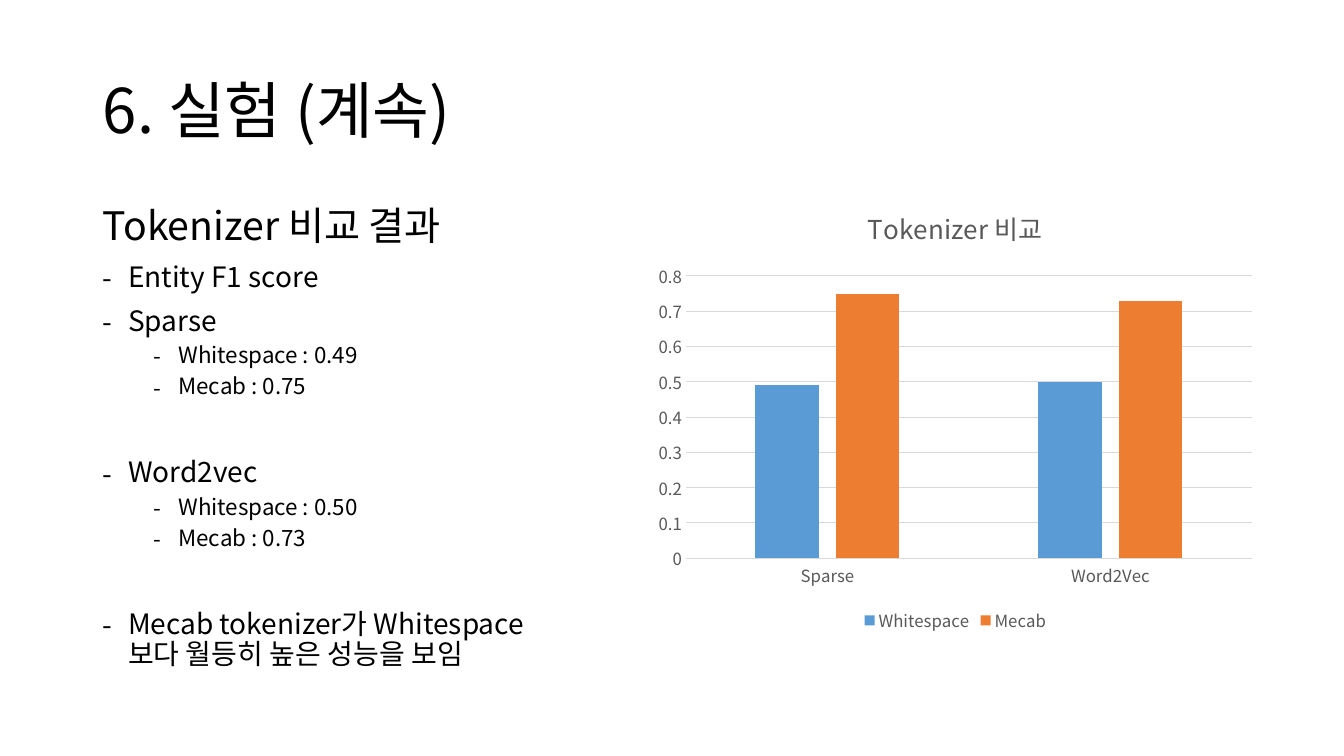
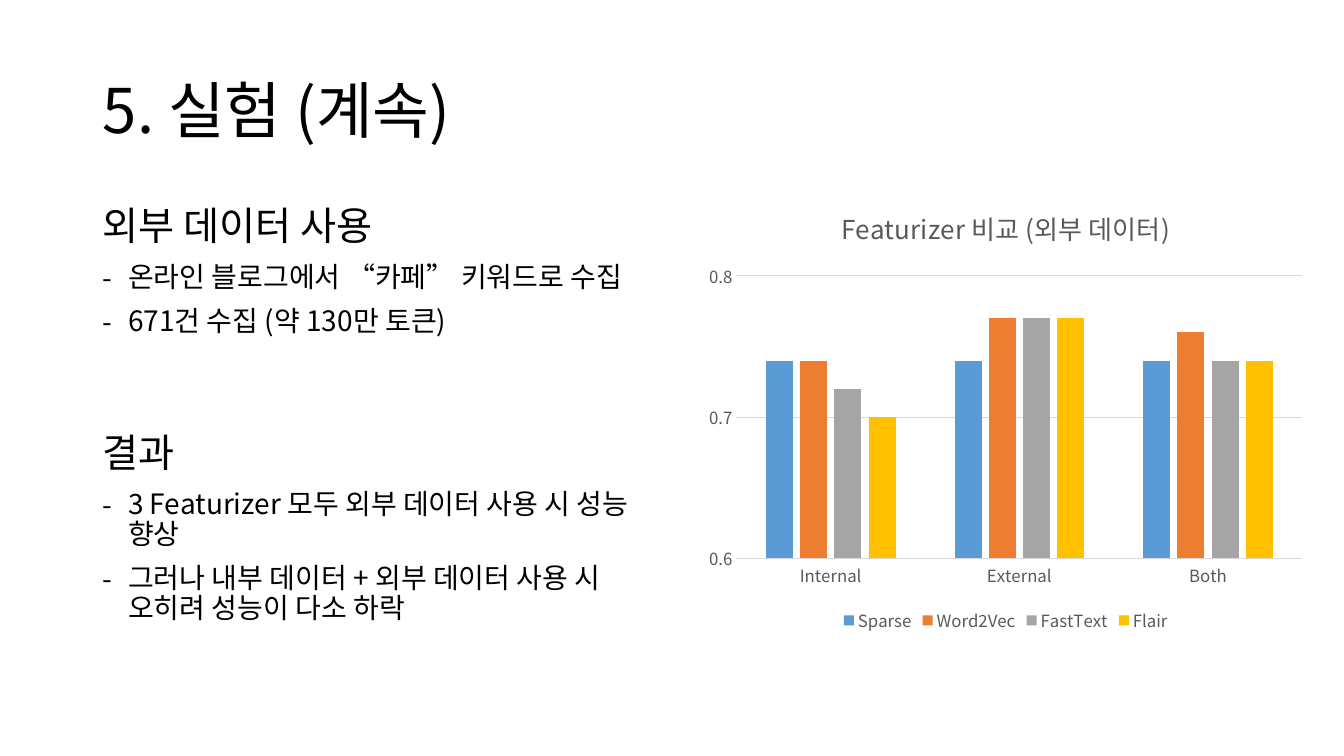
import pptx
import pptx.util
import pptx.chart.data
import pptx.dml.color
import pptx.enum.chart
import pptx.enum.text
import pptx.oxml.ns
from lxml import etree

Inches, Pt = pptx.util.Inches, pptx.util.Pt
qn = pptx.oxml.ns.qn

FONT = "Noto Sans CJK KR"
COLORS = {"text": "000000", "chart_text": "595959", "grid": "D9D9D9"}
SERIES_COLORS = ["5B9BD5", "ED7D31", "A5A5A5", "FFC000"]
# Paragraph level: size, space before, left margin, bullet
LEVELS = {
    "heading": (28, 10, 0, None),
    "item": (20, 10, 0.25, "-"),
    "section": (20, 42, 0.25, "-"),  # an item set apart from those above
    "detail": (16, 5, 0.75, "-"),
}
LEFT = 0.92

SLIDES = [
    {
        "title": "6. 실험 (계속)",
        "layout": 1,
        "lists": [
            ((LEFT, 2, 4.87, 4.85), [
                ("heading", "Tokenizer 비교 결과"),
                ("item", "Entity F1 score"),
                ("item", "Sparse"),
                ("detail", "Whitespace : 0.49"),
                ("detail", "Mecab : 0.75"),
                ("section", "Word2vec"),
                ("detail", "Whitespace : 0.50"),
                ("detail", "Mecab : 0.73"),
                ("section", "Mecab tokenizer가 Whitespace 보다 월등히 높은 성능을 보임"),
            ]),
        ],
        "chart_title": "Tokenizer 비교",
        "chart_left": 6.41,
        "minimum": 0,
        "categories": ["Sparse", "Word2Vec"],
        "series": {"Whitespace": [0.49, 0.5], "Mecab": [0.75, 0.73]},
    },
    {
        "title": "5. 실험 (계속)",
        "layout": 3,
        "lists": [
            ((LEFT, 2, 5.51, 1.55), [
                ("heading", "외부 데이터 사용"),
                ("item", "온라인 블로그에서 “카페” 키워드로 수집"),
                ("item", "671건 수집 (약 130만 토큰)"),
            ]),
            ((LEFT, 4.25, 5.51, 2.85), [
                ("heading", "결과"),
                ("item", "3 Featurizer 모두 외부 데이터 사용 시 성능 향상"),
                ("item", "그러나 내부 데이터 + 외부 데이터 사용 시 오히려 성능이 다소 하락"),
            ]),
        ],
        "chart_title": "Featurizer 비교 (외부 데이터)",
        "chart_left": 6.91,
        "minimum": 0.6,
        "categories": ["Internal", "External", "Both"],
        "series": {
            "Sparse": [0.74, 0.74, 0.74],
            "Word2Vec": [0.74, 0.77, 0.76],
            "FastText": [0.72, 0.77, 0.74],
            "Flair": [0.7, 0.77, 0.74],
        },
    },
]


def style_font(font, size, color):
    """Set size, colour and the typeface for both Latin and Korean text."""
    font.size = Pt(size)
    font.bold = False
    font.color.rgb = pptx.dml.color.RGBColor.from_string(COLORS[color])
    font.name = FONT
    latin = font._element.find(qn("a:latin"))
    east_asian = etree.Element(qn("a:ea"), typeface=FONT)
    latin.addnext(east_asian)


def fill_placeholder(shape, box, lines, anchor):
    """Move a placeholder and write (size, space before, margin, bullet, text) lines."""
    shape.left, shape.top, shape.width, shape.height = map(Inches, box)
    frame = shape.text_frame
    frame.word_wrap = True
    frame.auto_size = pptx.enum.text.MSO_AUTO_SIZE.NONE
    frame.vertical_anchor = anchor
    for index, (size, space, margin, bullet, text) in enumerate(lines):
        paragraph = frame.add_paragraph() if index else frame.paragraphs[0]
        paragraph.alignment = pptx.enum.text.PP_ALIGN.LEFT
        paragraph.line_spacing = 0.9
        paragraph.space_before = Pt(space)
        properties = paragraph._p.get_or_add_pPr()
        properties.set("marL", str(Inches(margin)))
        properties.set("indent", str(Inches(-0.25 if bullet else 0)))
        if bullet:
            etree.SubElement(properties, qn("a:buFont"), typeface=FONT)
            etree.SubElement(properties, qn("a:buChar"), char=bullet)
        else:
            etree.SubElement(properties, qn("a:buNone"))
        run = paragraph.add_run()
        run.text = text
        style_font(run.font, size, "text")


presentation = pptx.Presentation()
presentation.slide_width = Inches(13.33)
presentation.slide_height = Inches(7.5)
anchors = pptx.enum.text.MSO_ANCHOR
grid_color = pptx.dml.color.RGBColor.from_string(COLORS["grid"])

for content in SLIDES:
    slide = presentation.slides.add_slide(presentation.slide_layouts[content["layout"]])
    fill_placeholder(slide.shapes.title, (LEFT, 0.4, 11.5, 1.45),
                     [(44, 0, 0, None, content["title"])], anchors.MIDDLE)
    for number, (box, lines) in enumerate(content["lists"], start=1):
        fill_placeholder(slide.placeholders[number], box,
                         [(*LEVELS[level], text) for level, text in lines], anchors.TOP)

    chart_data = pptx.chart.data.CategoryChartData()
    chart_data.categories = content["categories"]
    for name, values in content["series"].items():
        chart_data.add_series(name, values)
    chart = slide.shapes.add_chart(
        pptx.enum.chart.XL_CHART_TYPE.COLUMN_CLUSTERED,
        Inches(content["chart_left"]), Inches(1.85), Inches(6.13), Inches(4.47),
        chart_data).chart
    style_font(chart.font, 10, "text")

    chart.has_title = True
    title_run = chart.chart_title.text_frame.paragraphs[0].add_run()
    title_run.text = content["chart_title"]
    style_font(title_run.font, 18.6, "chart_text")
    chart.chart_title.include_in_layout = False

    chart.has_legend = True
    chart.legend.position = pptx.enum.chart.XL_LEGEND_POSITION.BOTTOM
    chart.legend.include_in_layout = False
    style_font(chart.legend.font, 12, "chart_text")

    plot = chart.plots[0]
    plot.gap_width = 219
    plot.overlap = -27
    plot.vary_by_categories = False
    for series, color in zip(plot.series, SERIES_COLORS):
        series.format.fill.solid()
        series.format.fill.fore_color.rgb = pptx.dml.color.RGBColor.from_string(color)

    for axis in (chart.category_axis, chart.value_axis):
        axis.major_tick_mark = pptx.enum.chart.XL_TICK_MARK.NONE
        axis.minor_tick_mark = pptx.enum.chart.XL_TICK_MARK.NONE
        style_font(axis.tick_labels.font, 12, "chart_text")
    value_axis = chart.value_axis
    value_axis.minimum_scale = content["minimum"]
    value_axis.maximum_scale = 0.8
    value_axis.major_unit = 0.1
    value_axis.has_major_gridlines = True
    value_axis.format.line.fill.background()
    for line in (chart.category_axis.format.line, value_axis.major_gridlines.format.line):
        line.color.rgb = grid_color
        line.width = Pt(0.75)

presentation.save("out.pptx")
